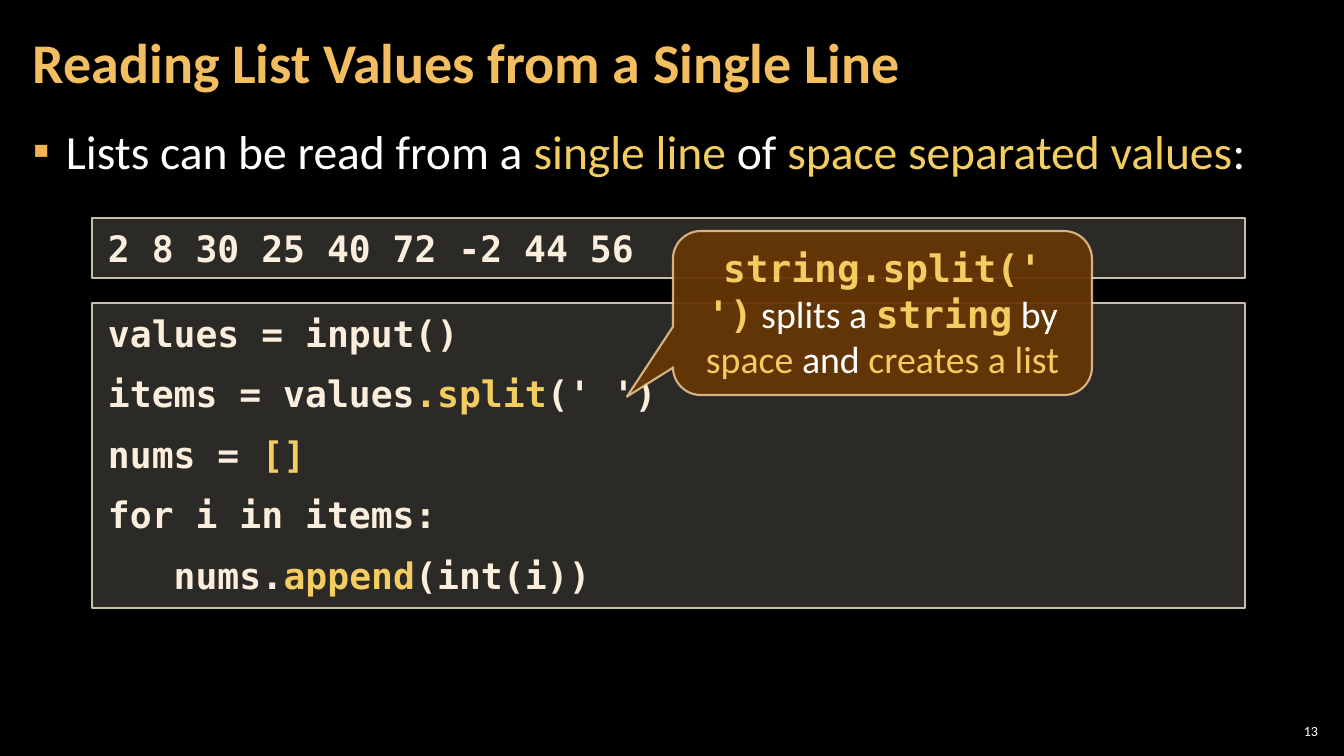
from lxml.etree import SubElement
from pptx import Presentation
from pptx.dml.color import RGBColor
from pptx.enum.shapes import MSO_SHAPE
from pptx.enum.text import MSO_ANCHOR, PP_ALIGN
from pptx.oxml.ns import qn
from pptx.util import Emu, Pt

SCALE = 914400 / 100.8  # EMU per pixel
COLORS = {
    "background": "000000", "text": "FFFFFF", "title": "F3BE60",
    "accent": "F3CD60", "bullet": "F2B254", "code": "FBEEDC",
    "box": "D9D5C7", "box_line": "C7BFAC",
    "callout": "663606", "callout_line": "F8D49E",
}
SANS, MONO = "Calibri", "DejaVu Sans Mono"
# Run styles: font, bold, colour
STYLES = {
    "title": (SANS, True, "title"),
    "text": (SANS, False, "text"),
    "accent": (SANS, False, "accent"),
    "code": (MONO, True, "code"),
    "code_accent": (MONO, True, "accent"),
}


def px(n):
    return Emu(round(n * SCALE))


def rgb(name):
    return RGBColor.from_string(COLORS[name])


def set_alpha(fill, percent):
    """Make a solid fill (or a line's fill) partly transparent."""
    color = fill._xPr.find(qn("a:solidFill"))[0]
    SubElement(color, qn("a:alpha"), val=str(percent * 1000))


def write(s, paragraphs, size, inset, anchor=MSO_ANCHOR.TOP, **para_format):
    """Fill a shape with paragraphs, each a list of (text, style) runs."""
    tf = s.text_frame
    frame_format = {
        "word_wrap": True, "vertical_anchor": anchor,
        "margin_left": px(inset[0]), "margin_right": px(inset[0]),
        "margin_top": px(inset[1]), "margin_bottom": px(inset[1]),
    }
    for name, value in frame_format.items():
        setattr(tf, name, value)
    for i, runs in enumerate(paragraphs):
        p = tf.paragraphs[0] if i == 0 else tf.add_paragraph()
        for name, value in para_format.items():
            setattr(p, name, value)
        for text, style in runs:
            r = p.add_run()
            r.text = text
            font, bold, color = STYLES[style]
            for name, value in {"name": font, "size": Pt(size), "bold": bold}.items():
                setattr(r.font, name, value)
            r.font.color.rgb = rgb(color)
    return tf


def add_text(slide, box, paragraphs, size, inset, **options):
    s = slide.shapes.add_textbox(*map(px, box))
    return write(s, paragraphs, size, inset, **options)


def add_bullet(p, char, indent):
    pPr = p._p.get_or_add_pPr()
    pPr.set("marL", str(px(indent)))
    pPr.set("indent", str(-px(indent)))
    SubElement(SubElement(pPr, qn("a:buClr")), qn("a:srgbClr"), val=COLORS["bullet"])
    SubElement(pPr, qn("a:buFont"), typeface=SANS)
    SubElement(pPr, qn("a:buChar"), char=char)


def add_panel(slide, kind, box, fill, alpha, line, width):
    s = slide.shapes.add_shape(kind, *map(px, box))
    s.shadow.inherit = False
    s.fill.solid()
    s.fill.fore_color.rgb = rgb(fill)
    set_alpha(s.fill, alpha)
    s.line.color.rgb = rgb(line)
    s.line.width = Pt(width)
    return s


def add_code(slide, top, height, lines):
    s = add_panel(slide, MSO_SHAPE.RECTANGLE, (92, top, 1153, height),
                  "box", 20, "box_line", 1)
    tf = write(s, lines, 26, (16, 8), alignment=PP_ALIGN.LEFT)
    for p in tf.paragraphs[1:]:
        p.space_before = Pt(12)


def add_callout(slide, box, adjustments, runs):
    s = add_panel(slide, MSO_SHAPE.ROUNDED_RECTANGULAR_CALLOUT, box,
                  "callout", 95, "callout_line", 1.5)
    set_alpha(s.line.fill, 80)
    for i, value in enumerate(adjustments):
        s.adjustments[i] = value
    write(s, [runs], 27, (10, 5), MSO_ANCHOR.MIDDLE, alignment=PP_ALIGN.CENTER)


def main():
    prs = Presentation()
    prs.slide_width, prs.slide_height = px(1344), px(756)
    slide = prs.slides.add_slide(prs.slide_layouts[6])
    slide.background.fill.solid()
    slide.background.fill.fore_color.rgb = rgb("background")

    # Slide number, statement and title
    add_text(slide, (1275, 720, 47, 21), [[("13", "text")]], 10, (4, 4),
             anchor=MSO_ANCHOR.MIDDLE, alignment=PP_ALIGN.RIGHT)
    statement = [("Lists can be read from a ", "text"), ("single line ", "accent"),
                 ("of ", "text"), ("space separated values", "accent"), (":", "text")]
    tf = add_text(slide, (21, 124, 1301, 614), [statement], 34, (12, 4),
                  line_spacing=0.9, space_before=Pt(6), space_after=Pt(6))
    add_bullet(tf.paragraphs[0], "▪", 33)
    add_text(slide, (21, 4, 1055, 122),
             [[("Reading List Values from a Single Line", "title")]], 40, (12, 4),
             anchor=MSO_ANCHOR.MIDDLE, line_spacing=0.9)

    # Program and its input
    add_code(slide, 303, 305, [
        [("values = input()", "code")],
        [("items = values", "code"), (".split", "code_accent"), ("(' ')", "code")],
        [("nums = ", "code"), ("[]", "code_accent")],
        [("for i in items:", "code")],
        [("   nums.", "code"), ("append", "code_accent"), ("(int(i))", "code")],
    ])
    add_code(slide, 218, 60, [[("2 8 30 25 40 72 -2 44 56", "code")]])

    # Explanation of split
    add_callout(slide, (673, 231, 419, 164), (-0.61, 0.51, 0.17), [
        ("string.split(' ')", "code_accent"), (" splits a ", "text"),
        ("string", "code_accent"), (" by ", "text"), ("space", "accent"),
        (" and ", "text"), ("creates a list", "accent"),
    ])
    prs.save("out.pptx")


main()
